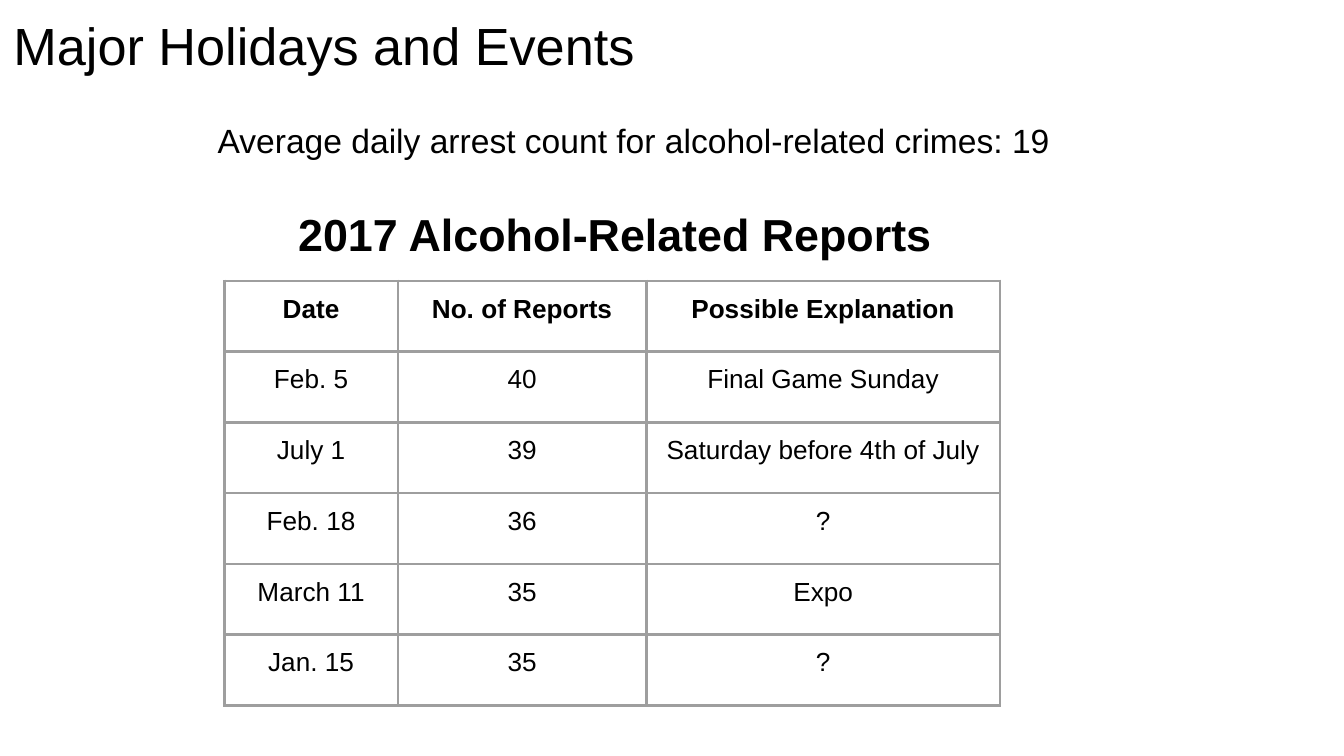
from lxml.etree import SubElement
from pptx import Presentation
from pptx.dml.color import RGBColor
from pptx.enum.text import MSO_ANCHOR, PP_ALIGN
from pptx.oxml.ns import qn
from pptx.util import Inches, Pt

TITLE = "Major Holidays and Events"
AVERAGE = "Average daily arrest count for alcohol-related crimes: 19"
TABLE_HEADING = "2017 Alcohol-Related Reports"
REPORTS = [
    ("Date", "No. of Reports", "Possible Explanation"),
    ("Feb. 5", "40", "Final Game Sunday"),
    ("July 1", "39", "Saturday before 4th of July"),
    ("Feb. 18", "36", "?"),
    ("March 11", "35", "Expo"),
    ("Jan. 15", "35", "?"),
]
COLUMN_WIDTHS = [1.29, 1.85, 2.63]
TABLE_HEIGHT = 3.16
THEME = {
    "font": "Arial",
    "text": RGBColor(0x00, 0x00, 0x00),
    "background": RGBColor(0xFF, 0xFF, 0xFF),
    "border": "9E9E9E",
    "border_width": Pt(1.5),
    "inset": Inches(0.1),
    "title": Pt(28),
    "heading": Pt(24),
    "body": Pt(18),
    "table": Pt(14),
}


def set_insets(target):
    for side in ("left", "top", "right", "bottom"):
        setattr(target, f"margin_{side}", THEME["inset"])
    target.vertical_anchor = MSO_ANCHOR.TOP


def write(text_frame, text, size, bold=False, alignment=PP_ALIGN.LEFT):
    paragraph = text_frame.paragraphs[0]
    paragraph.alignment = alignment
    run = paragraph.add_run()
    run.text = text
    run.font.name = THEME["font"]
    run.font.size = THEME[size]
    run.font.bold = bold
    run.font.color.rgb = THEME["text"]


def fill_text_box(shape, text, size, **style):
    shape.text_frame.word_wrap = True
    set_insets(shape.text_frame)
    write(shape.text_frame, text, size, **style)


def add_borders(cell):
    properties = cell._tc.get_or_add_tcPr()
    for position, side in enumerate(("lnL", "lnR", "lnT", "lnB")):
        line = SubElement(properties, qn(f"a:{side}"), w=str(THEME["border_width"]))
        fill = SubElement(line, qn("a:solidFill"))
        SubElement(fill, qn("a:srgbClr"), val=THEME["border"])
        properties.insert(position, line)


def add_report_table(slide, left, top):
    frame = slide.shapes.add_table(
        len(REPORTS), len(COLUMN_WIDTHS), Inches(left), Inches(top),
        Inches(sum(COLUMN_WIDTHS)), Inches(TABLE_HEIGHT),
    )
    table = frame.table
    table.horz_banding = False
    for column, width in zip(table.columns, COLUMN_WIDTHS):
        column.width = Inches(width)
    for row_index, values in enumerate(REPORTS):
        table.rows[row_index].height = Inches(TABLE_HEIGHT / len(REPORTS))
        for column_index, value in enumerate(values):
            cell = table.cell(row_index, column_index)
            set_insets(cell)
            cell.fill.background()
            add_borders(cell)
            write(cell.text_frame, value, "table",
                  bold=row_index == 0, alignment=PP_ALIGN.CENTER)


def main():
    presentation = Presentation()
    presentation.slide_width = Inches(10)
    presentation.slide_height = presentation.slide_width * 9 // 16
    slide = presentation.slides.add_slide(presentation.slide_layouts[5])
    slide.background.fill.solid()
    slide.background.fill.fore_color.rgb = THEME["background"]

    title = slide.shapes.title
    title.left, title.top = Inches(0), Inches(0)
    title.width, title.height = Inches(9.32), Inches(0.63)
    fill_text_box(title, TITLE, "title")

    heading = slide.shapes.add_textbox(
        Inches(2.12), Inches(1.44), Inches(5.09), Inches(0.49))
    fill_text_box(heading, TABLE_HEADING, "heading", bold=True)

    add_report_table(slide, 1.67, 2.09)

    average = slide.shapes.add_textbox(
        Inches(0.64), Inches(0.79), Inches(8.15), Inches(0.49))
    fill_text_box(average, AVERAGE, "body", alignment=PP_ALIGN.CENTER)

    presentation.save("out.pptx")


if __name__ == "__main__":
    main()
